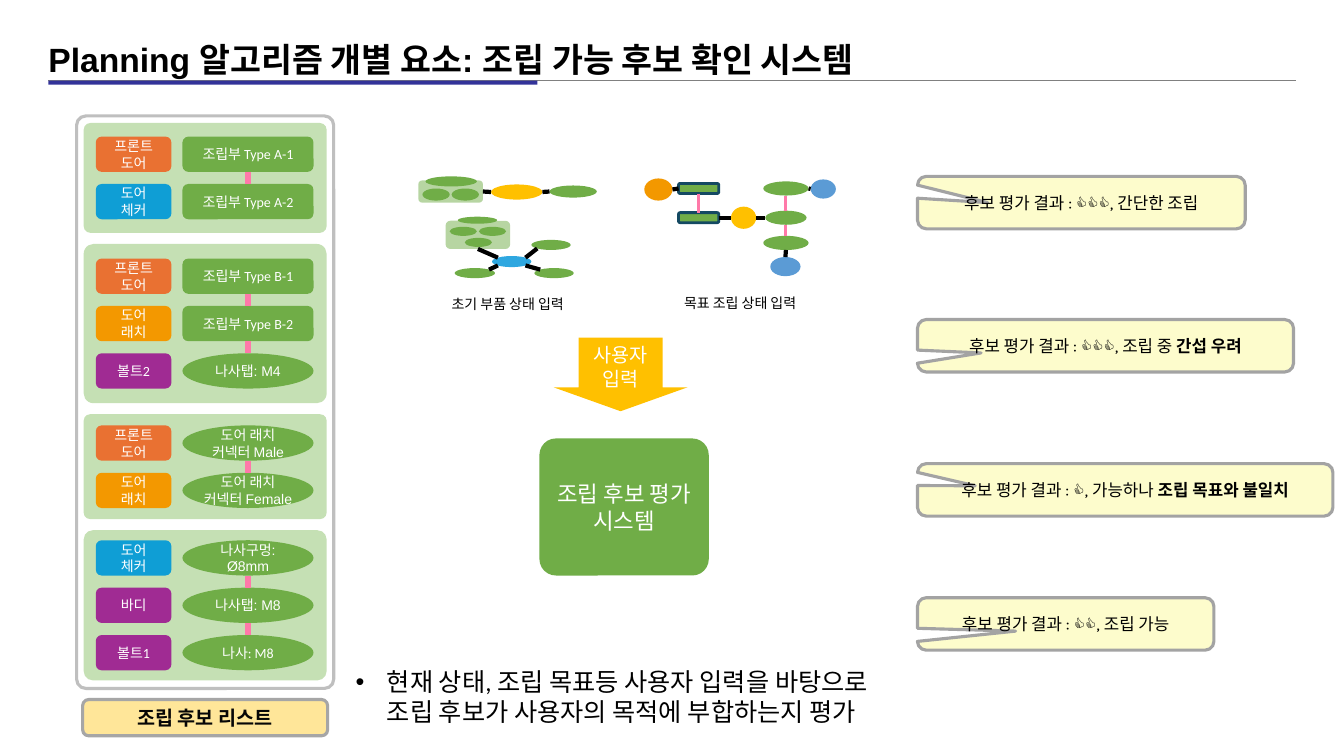
from lxml import etree
from pptx import Presentation
from pptx.dml.color import RGBColor
from pptx.enum.shapes import MSO_CONNECTOR, MSO_SHAPE as Kind
from pptx.enum.text import MSO_ANCHOR as Anchor, MSO_AUTO_SIZE as AutoSize, PP_ALIGN as Align
from pptx.oxml.ns import qn
from pptx.util import Inches, Pt

# Content
TITLE = "Planning 알고리즘 개별 요소: 조립 가능 후보 확인 시스템"
SUMMARY = ["현재 상태, 조립 목표등 사용자 입력을 바탕으로", "조립 후보가 사용자의 목적에 부합하는지 평가"]
BOX, OVAL = Kind.ROUNDED_RECTANGLE, Kind.OVAL
GREEN, AMBER, ORANGE, BLUE = "70AD47", "FFC000", "F39800", "5B9BD5"
PINK, BLACK, WHITE = "FF79A9", "000000", "FFFFFF"

FRONT_DOOR = ("프론트 도어", "E97132")
CHECKER = ("도어\n체커", "0F9ED5")
LATCH = ("도어 래치", ORANGE)
PURPLE = "A02B93"
# Panel height, then rows of (part, joint text, joint shape, joint font)
CANDIDATES = [
    (1.09, [(FRONT_DOOR, "조립부 Type A-1", BOX, "Calibri"),
            (CHECKER, "조립부 Type A-2", BOX, "Calibri")]),
    (1.58, [(FRONT_DOOR, "조립부 Type B-1", BOX, "Calibri"),
            (LATCH, "조립부 Type B-2", BOX, "Calibri"),
            (("볼트2", PURPLE), "나사탭: M4", OVAL, "Arial")]),
    (1.04, [(FRONT_DOOR, "도어 래치 커넥터 Male", OVAL, "Arial"),
            (LATCH, "도어 래치 커넥터 Female", OVAL, "Arial")]),
    (1.49, [(CHECKER, "나사구멍: Ø8mm", OVAL, "Arial"),
            (("바디", PURPLE), "나사탭: M8", OVAL, "Arial"),
            (("볼트1", PURPLE), "나사: M8", OVAL, "Calibri")]),
]

# Top, width, pointer, plain words, bold words
RESULTS = [
    (1.75, 3.25, (-0.286, 0), "👍👍👍, 간단한 조립", ""),
    (3.17, 3.73, (-0.331, 0.137), "👍👍👍, 조립 중 ", "간섭 우려"),
    (4.6, 4.12, (-0.361, -0.078), "👍, 가능하나 ", "조립 목표와 불일치"),
    (5.93, 2.94, (-0.169, 0.137), "👍👍, 조립 가능", ""),
]

# Nodes: (shape, place, fill); links: (node, side, node, side, colour, width)
INITIAL_STATE = {
    "caption": ("초기 부품 상태 입력", (4, 2.88, 2.07, 0.27)),
    "nodes": {
        "chain middle": (OVAL, (4.87, 1.83, 0.51, 0.15), AMBER),
        "chain end": (OVAL, (5.45, 1.84, 0.47, 0.12), GREEN),
        "chain module": (BOX, (4.15, 1.79, 0.64, 0.22), GREEN),
        "chain top": (OVAL, (4.22, 1.75, 0.51, 0.1), GREEN),
        "chain left": (OVAL, (4.19, 1.87, 0.27, 0.12), GREEN),
        "chain right": (OVAL, (4.48, 1.87, 0.27, 0.12), GREEN),
        "hub": (OVAL, (4.88, 2.54, 0.39, 0.11), "2EA7E0"),
        "hub module": (BOX, (4.42, 2.19, 0.64, 0.28), GREEN),
        "module left": (OVAL, (4.46, 2.25, 0.27, 0.09), GREEN),
        "module right": (OVAL, (4.75, 2.25, 0.27, 0.09), GREEN),
        "module low": (OVAL, (4.61, 2.36, 0.27, 0.09), GREEN),
        "module top": (OVAL, (4.54, 2.15, 0.39, 0.07), GREEN),
        "upper right": (OVAL, (5.27, 2.38, 0.39, 0.1), GREEN),
        "lower right": (OVAL, (5.3, 2.66, 0.39, 0.1), GREEN),
        "lower left": (OVAL, (4.51, 2.66, 0.4, 0.1), GREEN),
    },
    "links": [
        ("chain module", "r", "chain middle", "l", BLACK, 3),
        ("chain end", "l", "chain middle", "r", BLACK, 3),
        ("hub module", "b", "hub", "tl", BLACK, 3),
        ("hub", "tr", "upper right", "bl", BLACK, 3),
        ("lower right", "tl", "hub", "br", BLACK, 3),
        ("lower left", "tr", "hub", "bl", BLACK, 3),
    ],
}
GOAL_STATE = {
    "caption": ("목표 조립 상태 입력", (6.13, 2.87, 2.42, 0.36)),
    "nodes": {
        "centre": (OVAL, (7.25, 2.05, 0.25, 0.22), AMBER),
        "start": (OVAL, (6.39, 1.77, 0.28, 0.22), ORANGE),
        "top end": (OVAL, (8.04, 1.78, 0.25, 0.19), BLUE),
        "upper bar": (BOX, (6.73, 1.82, 0.4, 0.1), GREEN, ("144962", 2)),
        "lower bar": (BOX, (6.73, 2.11, 0.4, 0.1), GREEN, ("144962", 2)),
        "middle": (OVAL, (7.59, 2.09, 0.41, 0.14), GREEN),
        "top": (OVAL, (7.57, 1.8, 0.45, 0.14), GREEN),
        "low end": (OVAL, (7.64, 2.55, 0.3, 0.19), BLUE),
        "low": (OVAL, (7.57, 2.34, 0.45, 0.14), GREEN),
    },
    "links": [
        ("top", "b", "middle", "t", PINK, 2.25),
        ("middle", "b", "low", "t", PINK, 2.25),
        ("upper bar", "b", "lower bar", "t", PINK, 2.25),
        ("middle", "l", "centre", "r", BLACK, 3),
        ("upper bar", "l", "start", "r", BLACK, 3),
        ("top", "r", "top end", "l", BLACK, 3),
        ("lower bar", "r", "centre", "l", BLACK, 3),
        ("low", "b", "low end", "t", BLACK, 3),
    ],
}

# Shares of width and height at which a link meets a node
SIDES = {"t": (0.5, 0), "l": (0, 0.5), "b": (0.5, 1), "r": (1, 0.5),
         "tl": (0.15, 0.15), "tr": (0.85, 0.15), "bl": (0.15, 0.85), "br": (0.85, 0.85)}
JOINABLE = {BOX: "tlbr", OVAL: "t"}


def colour(hex_code):
    return RGBColor.from_string(hex_code)


def write(frame, lines, size, font="Calibri", ink=BLACK, align=Align.CENTER, anchor=Anchor.MIDDLE):
    """Each line is a list of (words, bold) runs."""
    frame.word_wrap, frame.vertical_anchor = True, anchor
    for i, runs in enumerate(lines):
        paragraph = frame.add_paragraph() if i else frame.paragraphs[0]
        paragraph.alignment = align
        for words, bold in runs:
            run = paragraph.add_run()
            run.text = words
            run.font.size, run.font.name, run.font.bold = Pt(size), font, bold
            run.font.color.rgb = colour(ink)


def plain(text, bold=False):
    return [[(line, bold)] for line in text.split("\n")]


def draw(home, kind, place, fill=None, line=None, adjust=()):
    shape = home.add_shape(kind, *map(Inches, place))
    shape.shadow.inherit = False
    for i, value in enumerate(adjust):
        shape.adjustments[i] = value
    if fill:
        shape.fill.solid()
        shape.fill.fore_color.rgb = colour(fill)
    else:
        shape.fill.background()
    if line:
        shape.line.color.rgb, shape.line.width = colour(line[0]), Pt(line[1])
    else:
        shape.line.fill.background()
    return shape


def rule(home, start, end, ink, width):
    line = home.add_connector(MSO_CONNECTOR.STRAIGHT, *start, *end)
    line.line.color.rgb, line.line.width = colour(ink), Pt(width)
    etree.SubElement(line._element.spPr, qn("a:effectLst"))
    return line


def link(home, first, side_1, second, side_2, ink, width):
    points = [(int(s.left + s.width * SIDES[side][0]), int(s.top + s.height * SIDES[side][1]))
              for s, side in ((first, side_1), (second, side_2))]
    line = rule(home, *points, ink, width)
    if side_1 in JOINABLE[first.auto_shape_type]:
        line.begin_connect(first, "tlbr".index(side_1))
    if side_2 in JOINABLE[second.auto_shape_type]:
        line.end_connect(second, "tlbr".index(side_2))


def caption(home, text, place):
    write(home.add_textbox(*map(Inches, place)).text_frame, plain(text), 10, anchor=Anchor.TOP)


def draw_candidates(home):
    row_height, pitch, gap, top = 0.35, 0.47, 0.11, 1.22
    draw(home, BOX, (0.76, 1.15, 2.55, 5.68), line=("BFBFBF", 2.25), adjust=[0.036])
    for height, rows in CANDIDATES:
        draw(home, BOX, (0.83, top, 2.41, height), "C5E0B4", adjust=[0.062])
        first_row = top + (height - row_height - pitch * (len(rows) - 1)) / 2
        previous = None
        for i, ((part, fill), words, kind, font) in enumerate(rows):
            y = first_row + i * pitch
            joint = draw(home, kind, (1.81, y, 1.3, row_height), GREEN)
            frame = joint.text_frame
            frame.margin_left = frame.margin_right = frame.margin_top = frame.margin_bottom = 0
            write(frame, plain(words), 10, font, WHITE)
            part_box = draw(home, BOX, (0.95, y, 0.75, row_height), fill)
            write(part_box.text_frame, plain(part), 10, ink=WHITE)
            if previous:
                link(home, previous, "b", joint, "t", PINK, 4.5)
            previous = joint
        top += height + gap


def draw_state(home, state):
    nodes = {name: draw(home, *look) for name, look in state["nodes"].items()}
    for name, node in nodes.items():
        if name.endswith("module"):  # half-transparent container
            tint = node._element.spPr.find(qn("a:solidFill"))[0]
            etree.SubElement(tint, qn("a:alpha"), val="50000")
    for first, side_1, second, side_2, ink, width in state["links"]:
        link(home, nodes[first], side_1, nodes[second], side_2, ink, width)
    caption(home, *state["caption"])


def main():
    deck = Presentation()
    deck.slide_width, deck.slide_height = Inches(13.33), Inches(7.5)
    slide = deck.slides.add_slide(deck.slide_layouts[5])
    shapes = slide.shapes

    # Title and its rules
    title = shapes.title
    title.left, title.top, title.width, title.height = map(Inches, (0.38, 0.34, 10.22, 0.5))
    title.text_frame.auto_size = AutoSize.NONE
    write(title.text_frame, plain(TITLE, True), 24, "Arial", align=Align.LEFT, anchor=Anchor.TOP)
    rule(shapes, (Inches(0.48), Inches(0.8)), (Inches(12.85), Inches(0.8)), "808080", 1)
    draw(shapes, Kind.RECTANGLE, (0.48, 0.8, 4.85, 0.04), "333399")

    # Evaluation results
    for top, width, pointer, words, strong in RESULTS:
        callout = draw(shapes, Kind.ROUNDED_RECTANGULAR_CALLOUT, (9.1, top, width, 0.52),
                       "FDFCCC", ("A3A3A3", 2.25), [*pointer, 0.167])
        runs = [("후보 평가 결과 : " + words, False)] + ([(strong, True)] if strong else [])
        write(callout.text_frame, [runs], 12, "Karla")

    # Evaluation system and candidate list
    system = draw(shapes, BOX, (5.35, 4.35, 1.68, 1.36), GREEN, adjust=[0.12])
    write(system.text_frame, plain("조립 후보 평가 시스템"), 16, ink=WHITE)
    list_label = draw(shapes, BOX, (0.82, 6.94, 2.43, 0.36), "FFE699", ("A6A6A6", 2.25))
    write(list_label.text_frame, plain("조립 후보 리스트", True), 14, ink="060606")
    draw_candidates(shapes.add_group_shape().shapes)

    # Summary bullet
    summary = shapes.add_textbox(*map(Inches, (3.43, 6.56, 5.67, 0.71))).text_frame
    write(summary, plain(SUMMARY[0]), 18, align=Align.LEFT, anchor=Anchor.TOP)
    bullet = summary.paragraphs[0]
    bullet.add_line_break()
    second = bullet.add_run()
    second.text = SUMMARY[1]
    second.font.size, second.font.name, second.font.color.rgb = Pt(18), "Calibri", colour(BLACK)
    layout = bullet._p.get_or_add_pPr()
    layout.set("marL", str(Inches(0.31)))
    layout.set("indent", str(-Inches(0.31)))
    etree.SubElement(layout, qn("a:buFont"), typeface="Arial")
    etree.SubElement(layout, qn("a:buChar"), char="•")

    # User input
    for state in (INITIAL_STATE, GOAL_STATE):
        draw_state(shapes.add_group_shape().shapes, state)
    arrow = draw(shapes, Kind.DOWN_ARROW, (5.49, 3.35, 1.33, 0.73), AMBER, adjust=[0.626, 0.325])
    write(arrow.text_frame, plain("사용자 입력"), 14, ink=WHITE)

    deck.save("out.pptx")


if __name__ == "__main__":
    main()
